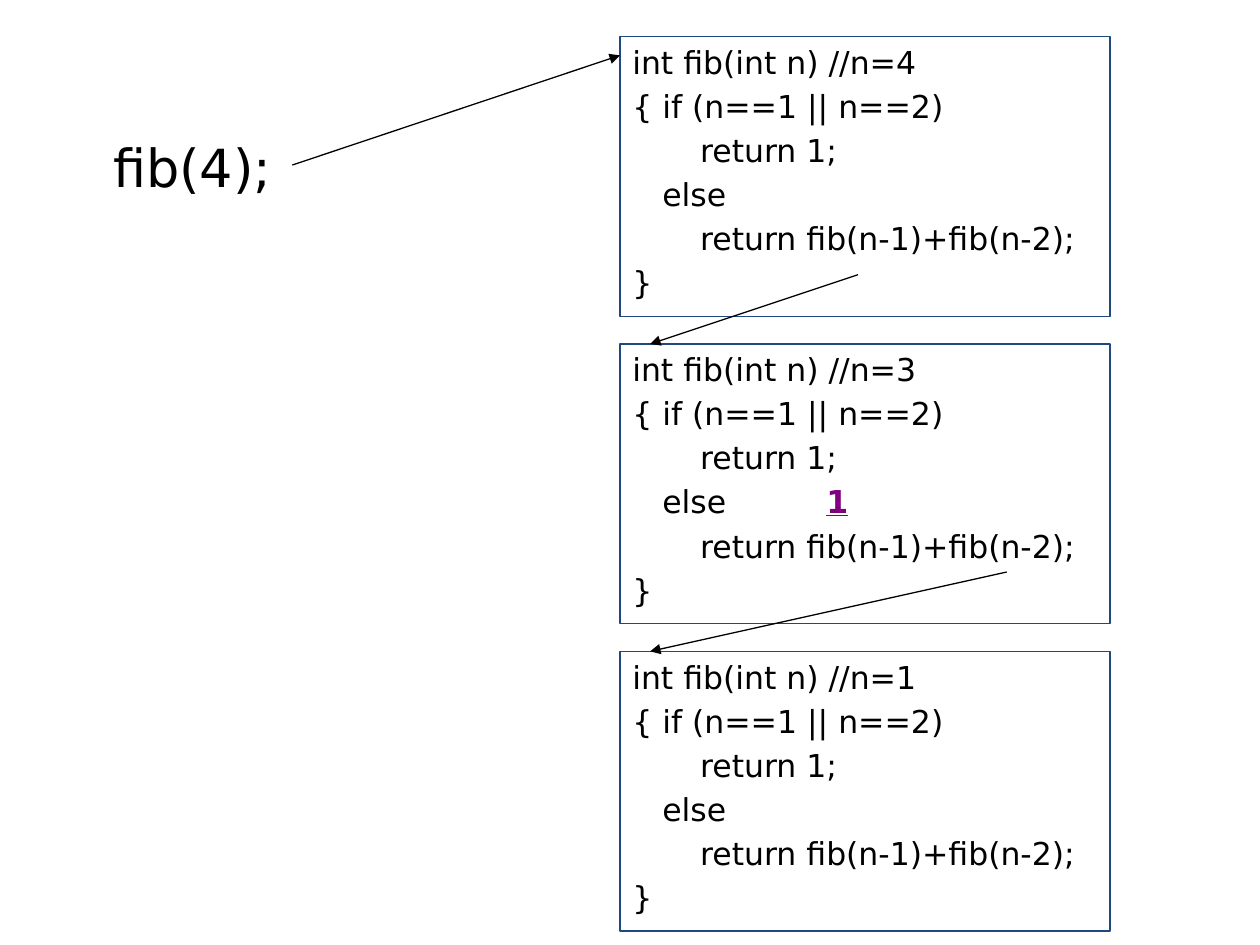
"""Builds a slide that traces the recursive calls of fib(4)."""
from lxml.etree import SubElement
from pptx import Presentation
from pptx.dml.color import RGBColor
from pptx.enum.shapes import MSO_CONNECTOR as LINK, MSO_SHAPE as FORM
from pptx.enum.text import MSO_ANCHOR as ANCHOR, PP_ALIGN as ALIGN
from pptx.oxml.ns import qn
from pptx.util import Inches, Pt

FONT = "DejaVu Sans"
INK, EDGE, MARK, PAPER = "000000", "1F497D", "800080", "CCE8CF"
LEFT, TOP, WIDE, HIGH, STEP = 4.92, 0.29, 3.89, 2.22, 2.44
HANG, STOP = 0.38, 1.54


def hue(code):
    return RGBColor.from_string(code)


def write(text, para, size=18, color=INK, bold=False, line=False, hang=HANG):
    para.alignment = ALIGN.LEFT
    props = para._p.get_or_add_pPr()
    props.set("marL", str(Inches(hang)))
    props.set("indent", str(-Inches(hang)))
    run = para.add_run()
    run.text = text
    font = run.font
    font.name, font.size, font.bold, font.underline = FONT, Pt(size), bold, line
    font.color.rgb = hue(color)


deck = Presentation()
deck.slide_width, deck.slide_height = Inches(10), Inches(7.5)
slide = deck.slides.add_slide(deck.slide_layouts[6])
slide.background.fill.solid()
slide.background.fill.fore_color.rgb = hue(PAPER)

for row, num in enumerate((4, 3, 1)):
    box = slide.shapes.add_shape(
        FORM.RECTANGLE, *map(Inches, (LEFT, TOP + row * STEP, WIDE, HIGH)))
    box.shadow.inherit = False
    box.fill.solid()
    box.fill.fore_color.rgb = hue(PAPER)
    box.line.color.rgb = hue(EDGE)
    box.line.width = Pt(0.75)
    frame = box.text_frame
    frame.word_wrap = True
    frame.vertical_anchor = ANCHOR.TOP
    code = (f"int fib(int n) //n={num}", "{ if (n==1 || n==2)", "\t  return 1;",
            "   else", "\t  return fib(n-1)+fib(n-2);", "}")
    for idx, text in enumerate(code):
        para = frame.add_paragraph() if idx else frame.paragraphs[0]
        para.space_before = Pt(3.6 if idx else 0)
        if num == 3 and idx == 3:
            write(text + "\t", para, hang=STOP)
            write("1", para, color=MARK, bold=True, line=True, hang=STOP)
        else:
            write(text, para)

call = slide.shapes.add_textbox(*map(Inches, (0.8, 1.02, 1.56, 0.6)))
call.text_frame.word_wrap = True
write("fib(4);", call.text_frame.paragraphs[0], size=30)

ENTRY = LEFT + 0.24
for ends in ((2.32, 1.31, LEFT, 0.44),
             (6.81, 2.18, ENTRY, TOP + STEP),
             (7.99, 4.54, ENTRY, TOP + 2 * STEP)):
    arrow = slide.shapes.add_connector(LINK.STRAIGHT, *map(Inches, ends))
    arrow.line.color.rgb = hue(INK)
    arrow.line.width = Pt(0.75)
    SubElement(arrow.line._get_or_add_ln(), qn("a:tailEnd"), type="triangle")
    SubElement(arrow._element.spPr, qn("a:effectLst"))

for node in list(slide.element.iter(qn("a:srgbClr"))):
    if node.get("val") == PAPER:
        fill = node.getparent()
        fill.remove(node)
        SubElement(fill, qn("a:sysClr"), val="window", lastClr=PAPER)

deck.save("out.pptx")
